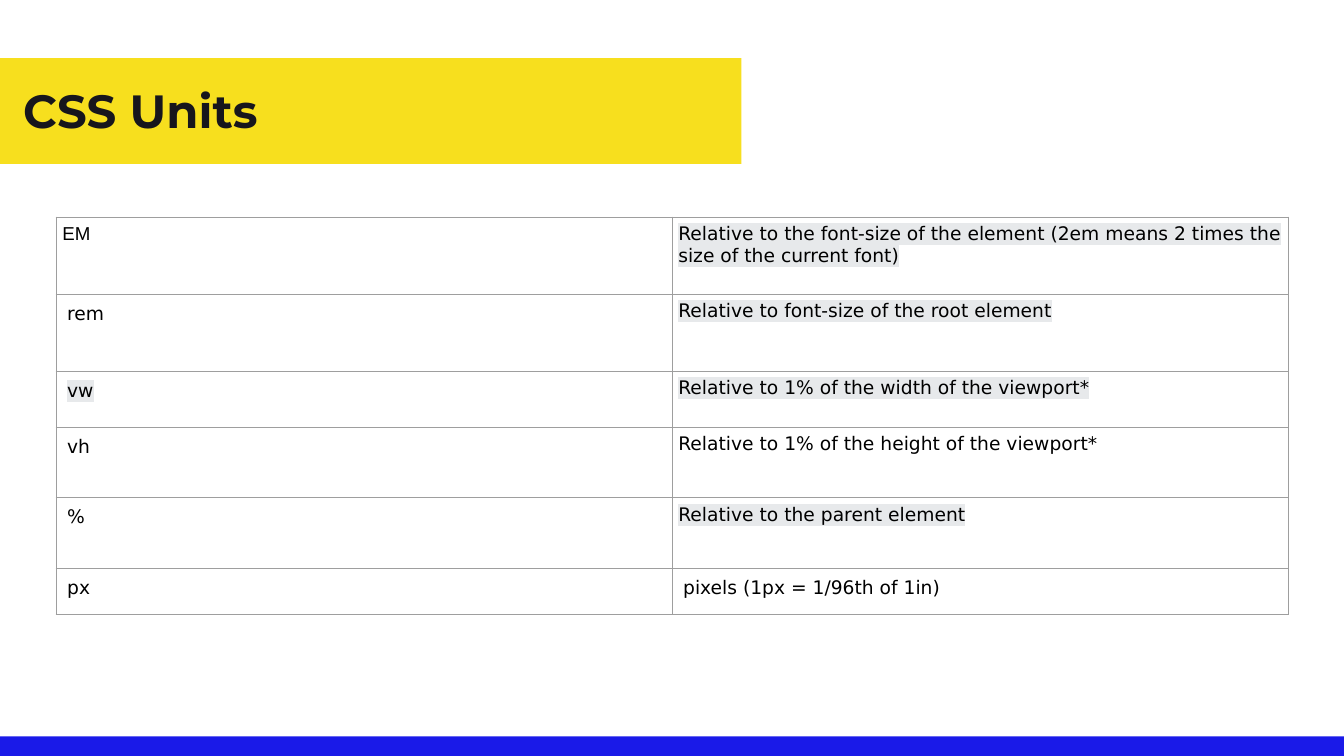
from lxml import etree
from pptx import Presentation
from pptx.dml.color import RGBColor
from pptx.enum.shapes import MSO_SHAPE
from pptx.enum.text import MSO_ANCHOR, MSO_AUTO_SIZE, PP_ALIGN
from pptx.oxml.ns import qn
from pptx.util import Emu, Pt

RECTANGLE = MSO_SHAPE.RECTANGLE
TOP = MSO_ANCHOR.TOP
LEFT = PP_ALIGN.LEFT
NO_AUTOSIZE = MSO_AUTO_SIZE.NONE

YELLOW = RGBColor(0xF7, 0xDF, 0x1E)
BLUE = RGBColor(0x1A, 0x1A, 0xE8)
INK = RGBColor(0x17, 0x16, 0x1C)
BLACK = RGBColor(0x00, 0x00, 0x00)
GRID = RGBColor(0x9E, 0x9E, 0x9E)
MARKER = RGBColor(0xE7, 0xE9, 0xEB)

TIGHT = (9, 9, 9, 9)
INDENTED = (16, 8, 8, 8)


def px(length):
    return Emu(length * 9525)


class SlideBuilder:
    title_font = "Montserrat"
    body_font = "DejaVu Sans"
    body_size = Pt(20)
    border_width = Pt(0.75)

    def __init__(self, presentation):
        self.slide = presentation.slides.add_slide(presentation.slide_layouts[5])

    def band(self, left, top, width, height, color):
        band = self.slide.shapes.add_shape(
            RECTANGLE, px(left), px(top), px(width), px(height))
        band.shadow.inherit = False
        band.fill.solid()
        band.fill.fore_color.rgb = color
        band.line.fill.background()

    def title(self, left, top, width, height, wording):
        title = self.slide.shapes.title
        title.left, title.top = px(left), px(top)
        title.width, title.height = px(width), px(height)
        self.slide.shapes._spTree.append(title._element)
        frame = title.text_frame
        frame.text = wording
        frame.word_wrap = True
        frame.auto_size = NO_AUTOSIZE
        frame.vertical_anchor = TOP
        frame.margin_left = frame.margin_top = 0
        frame.margin_right = frame.margin_bottom = 0
        heading = frame.paragraphs[0]
        heading.alignment = LEFT
        font = heading.runs[0].font
        font.name, font.size, font.bold = self.title_font, Pt(49.9), True
        font.color.rgb = INK

    def table(self, left, top, column_width, row_heights, rows):
        columns = len(rows[0])
        table = self.slide.shapes.add_table(
            len(rows), columns, px(left), px(top),
            px(column_width * columns), px(sum(row_heights))).table
        table.first_row = table.horz_banding = False
        for column in table.columns:
            column.width = px(column_width)
        for row, height, entries in zip(table.rows, row_heights, rows):
            row.height = px(height)
            for cell, entry in zip(row.cells, entries):
                self.cell(cell, *entry)

    def cell(self, cell, wording, margins, marked=False, font_name=body_font):
        cell.fill.background()
        cell.vertical_anchor = TOP
        (cell.margin_left, cell.margin_top,
         cell.margin_right, cell.margin_bottom) = map(px, margins)
        cell.text = wording
        paragraph = cell.text_frame.paragraphs[0]
        if margins == INDENTED:
            paragraph.line_spacing = 1.15
        run = paragraph.runs[0]
        run.font.name, run.font.size = font_name, self.body_size
        run.font.color.rgb = BLACK
        if marked:
            self.highlight(run)
        self.borders(cell)

    def highlight(self, run):
        highlight = etree.Element(qn("a:highlight"))
        etree.SubElement(highlight, qn("a:srgbClr"), val=str(MARKER))
        run.font._element.find(qn("a:solidFill")).addnext(highlight)

    def borders(self, cell):
        properties = cell._tc.get_or_add_tcPr()
        for index, side in enumerate(("a:lnL", "a:lnR", "a:lnT", "a:lnB")):
            line = etree.Element(qn(side), w=str(self.border_width))
            fill = etree.SubElement(line, qn("a:solidFill"))
            etree.SubElement(fill, qn("a:srgbClr"), val=str(GRID))
            properties.insert(index, line)


def main():
    presentation = Presentation()
    presentation.slide_width = px(1920)
    presentation.slide_height = px(1080)

    builder = SlideBuilder(presentation)
    builder.band(0, 83, 1059, 151, YELLOW)
    builder.band(0, 1052, 1920, 28, BLUE)
    builder.title(33, 117, 1123, 81, "CSS Units")

    units = [
        (("EM", TIGHT, False, "Arial"),
         ("Relative to the font-size of the element "
          "(2em means 2 times the size of the current font)", TIGHT, True)),
        (("rem", INDENTED),
         ("Relative to font-size of the root element", TIGHT, True)),
        (("vw", INDENTED, True),
         ("Relative to 1% of the width of the viewport*", TIGHT, True)),
        (("vh", INDENTED),
         ("Relative to 1% of the height of the viewport*", TIGHT)),
        (("%", INDENTED),
         ("Relative to the parent element", TIGHT, True)),
        (("px", INDENTED),
         ("pixels (1px = 1/96th of 1in)", INDENTED)),
    ]
    builder.table(80, 310, 880, (110, 110, 80, 101, 101, 66), units)

    presentation.save("out.pptx")


if __name__ == "__main__":
    main()
